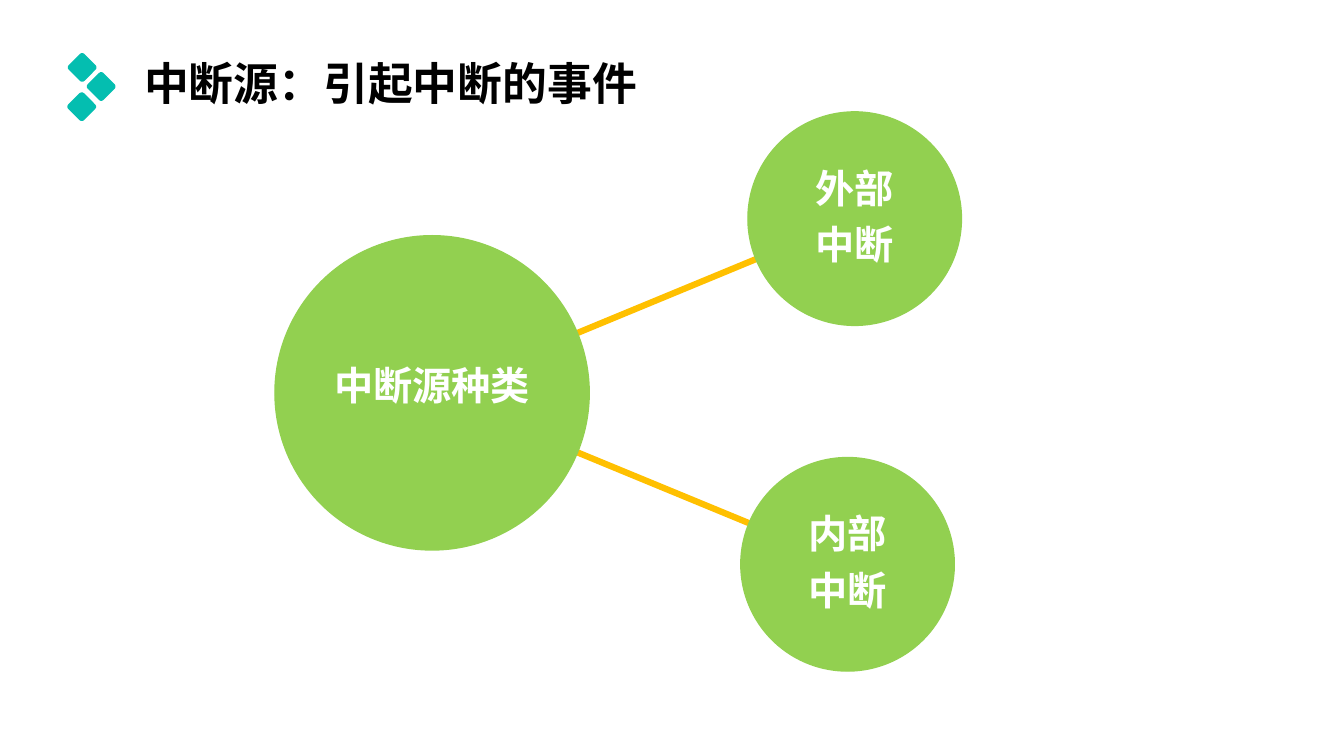
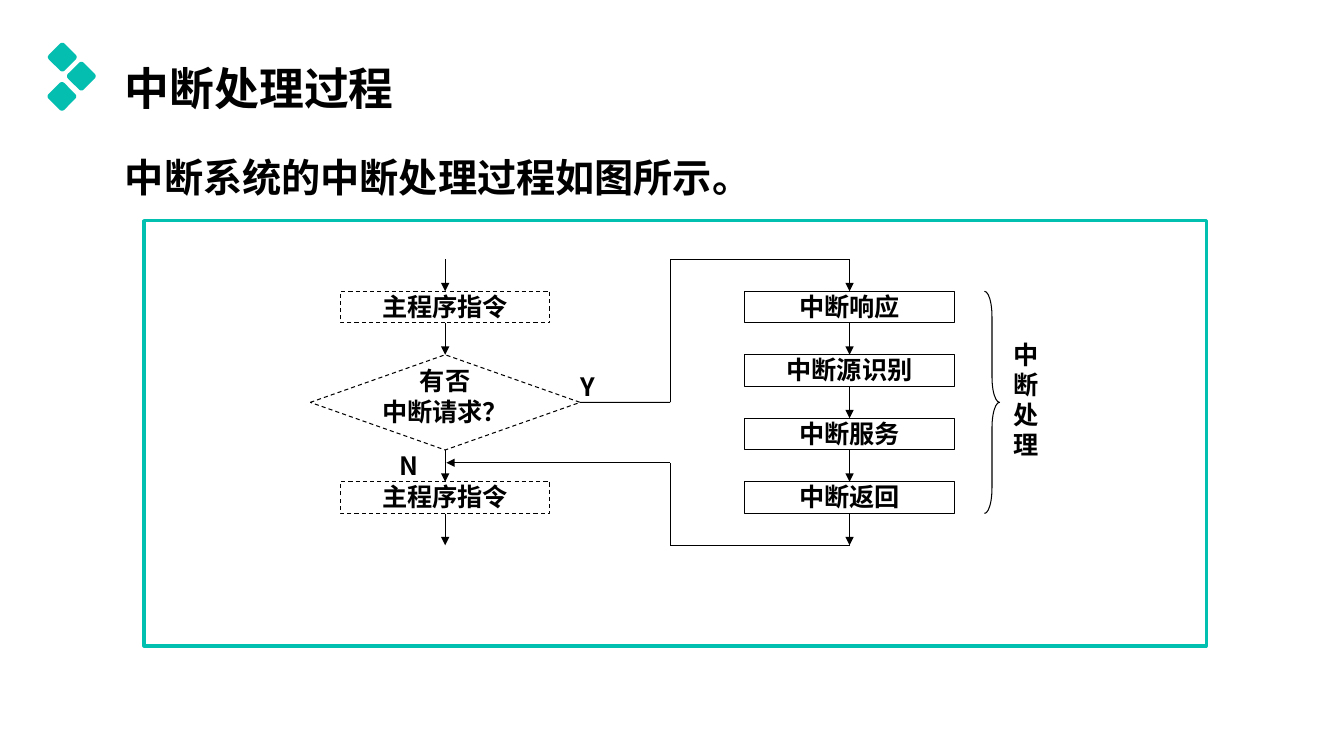
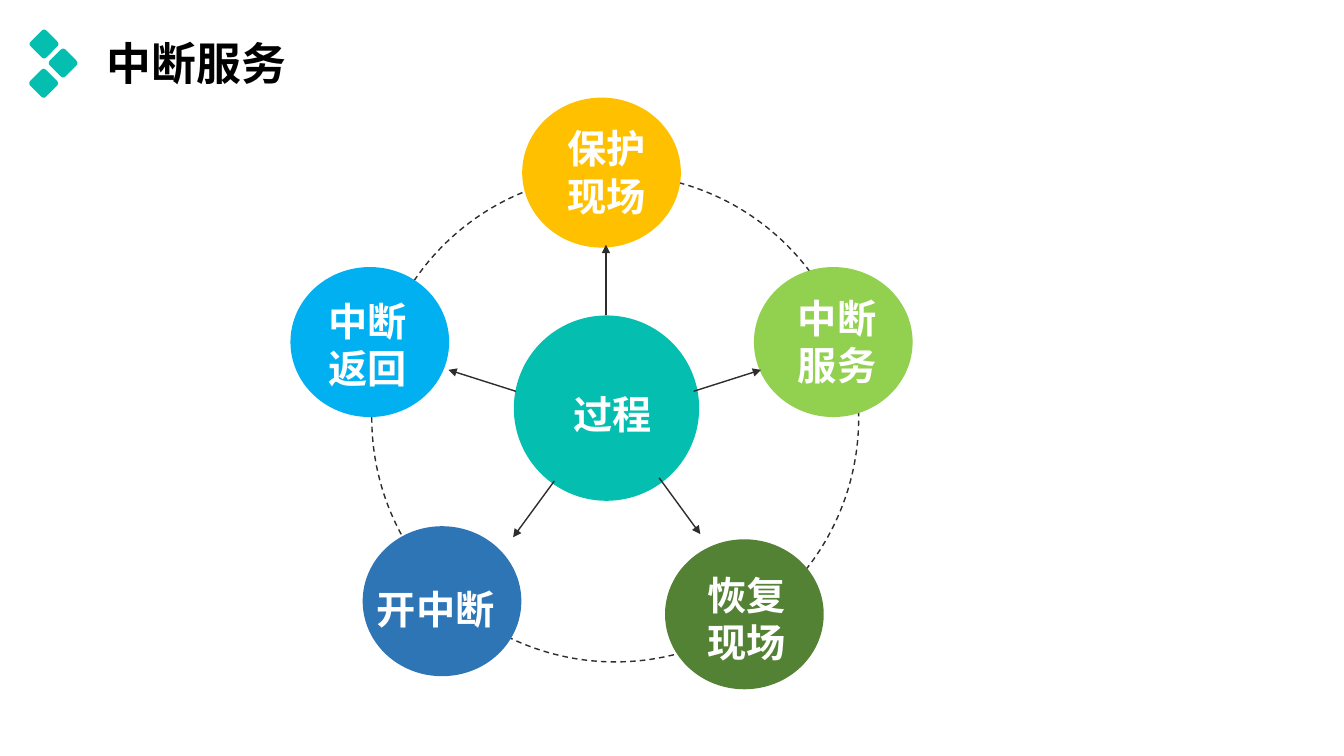
from lxml.etree import SubElement
from pptx import Presentation
from pptx.dml.color import RGBColor
from pptx.enum.dml import MSO_LINE
from pptx.enum.shapes import MSO_CONNECTOR, MSO_SHAPE as Preset
from pptx.enum.text import MSO_ANCHOR as Anchor, MSO_AUTO_SIZE, PP_ALIGN as Align
from pptx.oxml.ns import qn
from pptx.util import Cm, Pt

FONT = "Noto Sans CJK SC"
BLACK = RGBColor(0x00, 0x00, 0x00)
WHITE = RGBColor(0xFF, 0xFF, 0xFF)
INK = RGBColor(0x2E, 0x2C, 0x2C)
TEAL = RGBColor(0x04, 0xBE, 0xB0)
FRAME_TEAL = RGBColor(0x01, 0xC0, 0xB0)
GREEN = RGBColor(0x92, 0xD0, 0x50)
DARK_GREEN = RGBColor(0x54, 0x82, 0x35)
AMBER = RGBColor(0xFF, 0xC0, 0x00)
BLUE = RGBColor(0x2E, 0x75, 0xB6)
SKY = RGBColor(0x00, 0xB0, 0xF0)


def write(frame, lines, size, color, align=Align.LEFT, spacing=None, after=None):
    """Fill a text frame with one bold paragraph per line."""
    for index, line in enumerate(lines):
        para = frame.add_paragraph() if index else frame.paragraphs[0]
        para.text = line
        para.alignment = align
        if spacing:
            para.line_spacing = spacing
        if after:
            para.space_after = Pt(after)
        font = para.font
        font.size = Pt(size)
        font.bold = True
        font.color.rgb = color
        font.name = FONT
        SubElement(para._p.pPr.find(qn("a:defRPr")), qn("a:ea"), typeface=FONT)


def set_insets(frame, left=0, top=0, right=0, bottom=0):
    """Set the margins of a wrapped text frame."""
    frame.word_wrap = True
    frame.margin_left, frame.margin_top = Cm(left), Cm(top)
    frame.margin_right, frame.margin_bottom = Cm(right), Cm(bottom)


def add_preset(page, preset, box, fill=None, line=None, width=0.75, dashed=False):
    """Add a flat preset shape in a (left, top, width, height) box."""
    shape = page.shapes.add_shape(preset, *map(Cm, box))
    shape.shadow.inherit = False
    if fill is None:
        shape.fill.background()
    else:
        shape.fill.solid()
        shape.fill.fore_color.rgb = fill
    if line is None:
        shape.line.fill.background()
    else:
        shape.line.color.rgb = line
        shape.line.width = Pt(width)
        if dashed:
            shape.line.dash_style = MSO_LINE.DASH
    return shape


def add_line(page, start, end, color=BLACK, width=0.75, arrow=False):
    """Draw a straight connector between two points."""
    line = page.shapes.add_connector(MSO_CONNECTOR.STRAIGHT, *map(Cm, (*start, *end)))
    line.line.color.rgb = color
    line.line.width = Pt(width)
    properties = line._element.spPr
    if arrow:
        SubElement(properties.find(qn("a:ln")), qn("a:tailEnd"), type="triangle")
    SubElement(properties, qn("a:effectLst"))
    return line


def add_route(page, points, arrow=False):
    """Draw a bent route through the points, with an optional final arrowhead."""
    last = len(points) - 2
    return [
        add_line(page, start, end, arrow=arrow and index == last)
        for index, (start, end) in enumerate(zip(points, points[1:]))
    ]


def add_heading(page, box, text, size=32):
    """Add a black heading centred vertically in its box."""
    frame = page.shapes.add_textbox(*map(Cm, box)).text_frame
    frame.word_wrap = True
    frame.vertical_anchor = Anchor.MIDDLE
    write(frame, [text], size, BLACK, spacing=0.9)


def add_label(page, left, top, lines):
    """Add white text in a box sized to its characters."""
    width = 0.5 + 0.99 * max(map(len, lines))
    height = 0.25 + 1.19 * len(lines)
    frame = page.shapes.add_textbox(*map(Cm, (left, top, width, height))).text_frame
    frame.word_wrap = False
    frame.auto_size = MSO_AUTO_SIZE.SHAPE_TO_FIT_TEXT
    write(frame, lines, 28, WHITE)


def add_marker(page, left, top):
    """Place the three rounded diamonds beside a title."""
    side = 0.56
    for x, y in ((0.37, 0.37), (0.85, 0.85), (0.36, 1.36)):
        box = (left + x - side / 2, top + y - side / 2, side, side)
        diamond = add_preset(page, Preset.ROUNDED_RECTANGLE, box, TEAL)
        diamond.adjustments[0] = 0.14
        diamond.rotation = 45


def add_page(deck, marker, title_box, title):
    """Add a blank page with its marker and title."""
    page = deck.slides.add_slide(deck.slide_layouts[6])
    add_marker(page, *marker)
    add_heading(page, title_box, title)
    return page


def add_source_tree(page, left, top):
    """Draw the kinds of interrupt source as linked circles."""
    for start, end in (((7.09, 8.36), (11.94, 10.36)), ((7.09, 5.79), (12.12, 3.71))):
        add_line(page, (left + start[0], top + start[1]), (left + end[0], top + end[1]), AMBER, 4.5)
    circles = (
        (0, 3.12, 7.92, ["中断源种类"], 0.43, None, None),
        (11.92, 0, 5.38, ["外部", "中断"], 0.05, 0.9, 10),
        (11.74, 8.71, 5.38, ["内部", "中断"], 0.05, 0.9, 10),
    )
    for x, y, size, lines, bottom, spacing, after in circles:
        circle = add_preset(page, Preset.OVAL, (left + x, top + y, size, size), GREEN, GREEN, 1)
        frame = circle.text_frame
        set_insets(frame, 0.05, 0.05, 0.05, bottom)
        frame.vertical_anchor = Anchor.MIDDLE
        write(frame, lines, 28, WHITE, Align.CENTER, spacing, after)


def add_step(page, center, top, text, dashed=False):
    """Add one step of the flow chart around a column centre."""
    box = (center - 2.64, top, 5.28, 0.8)
    step = add_preset(page, Preset.RECTANGLE, box, WHITE, BLACK, dashed=dashed)
    set_insets(step.text_frame)
    step.text_frame.vertical_anchor = Anchor.TOP
    write(step.text_frame, [text], 18, BLACK, Align.CENTER)
    return step


def add_note(page, box, text):
    """Add a plain black note of the flow chart."""
    frame = page.shapes.add_textbox(*map(Cm, box)).text_frame
    set_insets(frame)
    write(frame, [text], 18, BLACK)


def join_down(page, steps, center, top, bottom):
    """Link the steps of one column by arrows, with an entry and an exit arrow."""
    add_line(page, (center, top), (center, top + 0.8), arrow=True).end_connect(steps[0], 0)
    for upper, lower in zip(steps, steps[1:]):
        link = add_line(page, (center, top), (center, bottom), arrow=True)
        link.begin_connect(upper, 2)
        link.end_connect(lower, 0)
    add_line(page, (center, bottom - 0.8), (center, bottom), arrow=True).begin_connect(steps[-1], 2)


def add_flow(page, left, top, width, height):
    """Draw the framed flow chart of interrupt handling."""
    add_preset(page, Preset.RECTANGLE, (left, top, width, height), line=FRAME_TEAL, width=2.25)
    main, middle, handler = left + 7.59, left + 13.26, left + 17.78
    entry = top + 0.98
    rows = [entry + 0.8 + 1.6 * index for index in range(4)]
    leave = rows[3] + 1.6

    first = add_step(page, main, rows[0], "主程序指令", True)
    box = (main - 3.4, rows[1], 6.8, 2.4)
    decision = add_preset(page, Preset.FLOWCHART_DECISION, box, WHITE, BLACK, dashed=True)
    set_insets(decision.text_frame, bottom=0.33)
    decision.text_frame.vertical_anchor = Anchor.MIDDLE
    write(decision.text_frame, ["有否", "中断请求？"], 18, BLACK, Align.CENTER)
    resumed = add_step(page, main, rows[3], "主程序指令", True)
    names = ("中断响应", "中断源识别", "中断服务", "中断返回")
    handling = [add_step(page, handler, row, name) for row, name in zip(rows, names)]

    join_down(page, [first, decision, resumed], main, entry, leave)
    join_down(page, handling, handler, entry, leave)
    branch = rows[1] + 1.2
    request = add_route(
        page, [(main + 3.4, branch), (middle, branch), (middle, entry), (handler, entry)]
    )
    request[0].begin_connect(decision, 3)
    back = rows[3] - 0.48
    add_route(page, [(handler, leave), (middle, leave), (middle, back), (main + 0.03, back)], True)

    add_note(page, (main + 3.4, branch - 0.78, 0.76, 0.74), "Y")
    add_note(page, (main - 1.14, rows[3] - 0.8, 0.76, 0.74), "N")
    box = (handler + 3.4, rows[0], 0.38, 5.6)
    brace = add_preset(page, Preset.RIGHT_BRACE, box, line=BLACK)
    brace.adjustments[0] = 1.69
    add_note(page, (handler + 4.14, rows[0] + 1.2, 1.14, 3.6), "中断处理")


def add_cycle(page, left, top):
    """Draw the service steps on a dashed ring around a hub."""
    box = (left, top, 12.27, 12.29)
    add_preset(page, Preset.OVAL, box, line=INK, width=1, dashed=True)
    add_preset(page, Preset.OVAL, (left + 3.58, top + 3.56, 4.67, 4.67), TEAL)
    add_label(page, left + 4.83, top + 5.31, ["过程"])
    nodes = (
        (3.79, -1.93, AMBER, ["保护", "现场"], 0.89, 0.56),
        (9.63, 2.34, GREEN, ["中断", "服务"], 0.86, 0.56),
        (7.39, 9.2, DARK_GREEN, ["恢复", "现场"], 0.82, 0.68),
        (-0.23, 8.87, BLUE, ["开中断"], 0.11, 1.37),
        (-2.05, 2.34, SKY, ["中断", "返回"], 0.71, 0.64),
    )
    for x, y, color, lines, indent, drop in nodes:
        add_preset(page, Preset.OVAL, (left + x, top + y, 4, 3.78), color)
        add_label(page, left + x + indent, top + y + drop, lines)
    arrows = (
        (5.9, 3.56, 5.9, 1.78),
        (8.11, 5.47, 9.81, 4.93),
        (7.24, 7.65, 8.28, 9.07),
        (4.6, 7.73, 3.56, 9.15),
        (3.63, 5.47, 1.93, 4.93),
    )
    for x1, y1, x2, y2 in arrows:
        add_line(page, (left + x1, top + y1), (left + x2, top + y2), INK, 1, True)


def main():
    """Build and save the deck."""
    deck = Presentation()
    deck.slide_width, deck.slide_height = Cm(33.87), Cm(19.05)

    page = add_page(deck, (1.7, 1.33), (3.38, 1.65, 13.79, 1.02), "中断源：引起中断的事件")
    add_source_tree(page, 6.93, 2.82)

    page = add_page(deck, (1.2, 1.07), (2.9, 0.46, 29.21, 3.68), "中断处理过程")
    add_heading(page, (2.9, 3.56, 30.48, 1.93), "中断系统的中断处理过程如图所示。", 28)
    add_flow(page, 3.63, 5.56, 26.77, 10.72)

    page = add_page(deck, (0.74, 0.74), (2.44, 0.86, 16.59, 1.63), "中断服务")
    add_cycle(page, 9.37, 4.39)

    deck.save("out.pptx")


if __name__ == "__main__":
    main()
